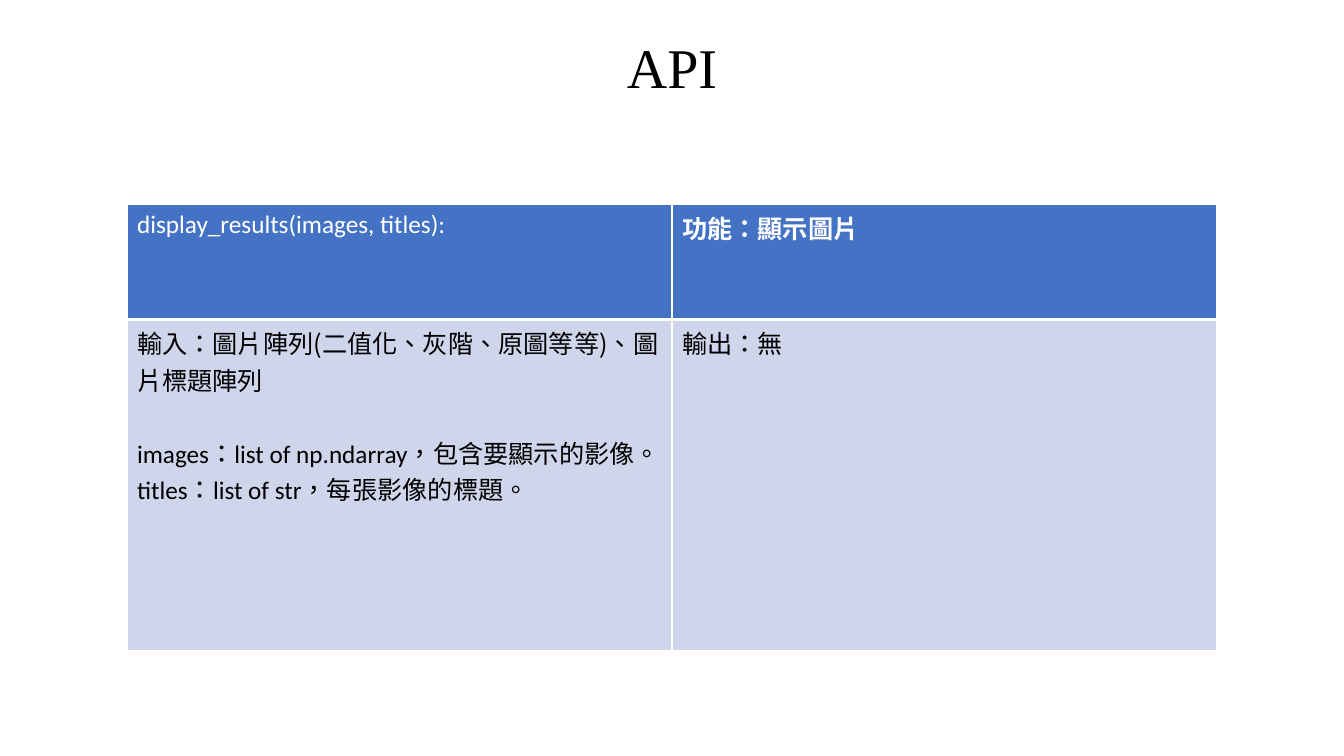
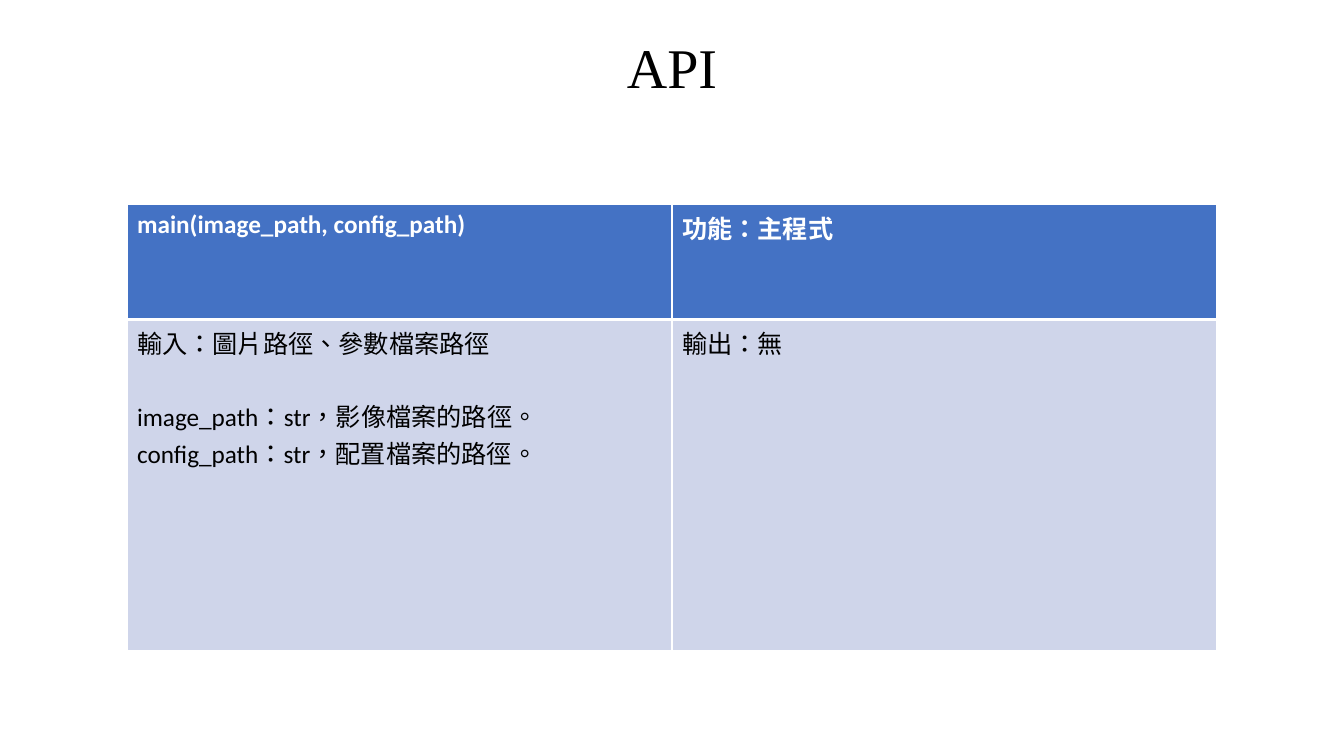
from lxml.etree import SubElement
from pptx import Presentation
from pptx.dml.color import RGBColor
from pptx.enum.text import MSO_AUTO_SIZE, PP_ALIGN
from pptx.oxml.ns import qn
from pptx.util import Inches, Pt

WHITE = RGBColor(0xFF, 0xFF, 0xFF)
BLACK = RGBColor(0x00, 0x00, 0x00)
BLUE = RGBColor(0x44, 0x72, 0xC4)
PALE_BLUE = RGBColor(0xCF, 0xD5, 0xEA)
LATIN, CHINESE, SERIF = "Calibri", "Noto Sans CJK SC", "Times New Roman"


class ApiDeck:
    """Style and current slide of an API reference; lengths are percentages of the slide."""

    def __init__(self):
        """Start an empty widescreen presentation."""
        self.deck = Presentation()
        self.deck.slide_width, self.deck.slide_height = Inches(13.33), Inches(7.5)
        self.slide = None

    def across(self, percent):
        """Turn a percentage of the slide width into a length."""
        return round(self.deck.slide_width * percent / 100)

    def down(self, percent):
        """Turn a percentage of the slide height into a length."""
        return round(self.deck.slide_height * percent / 100)

    def area(self, left, top, width, height):
        """Turn four percentages into a position and a size."""
        return self.across(left), self.down(top), self.across(width), self.down(height)

    def new_slide(self):
        """Add a blank slide and make it current."""
        self.slide = self.deck.slides.add_slide(self.deck.slide_layouts[6])

    def run(self, paragraph, words, typeface, size, color, bold=False):
        """Add one styled run to a paragraph."""
        run = paragraph.add_run()
        run.text = words
        font = run.font
        font.size, font.bold, font.name = Pt(size), bold, typeface
        font.color.rgb = color
        properties = run._r.get_or_add_rPr()
        properties.set("lang", "zh-TW")
        east_asian = SubElement(properties, qn("a:ea"))
        east_asian.set("typeface", CHINESE)

    def title(self, words):
        """Add the centred slide title."""
        box = self.slide.shapes.add_textbox(*self.area(15.68, 3.6, 68.64, 10.27))
        frame = box.text_frame
        frame.word_wrap = True
        frame.auto_size = MSO_AUTO_SIZE.SHAPE_TO_FIT_TEXT
        heading = frame.paragraphs[0]
        heading.alignment = PP_ALIGN.CENTER
        self.run(heading, words, SERIF, 40, BLACK)

    def borders(self, cell, **widths):
        """Give a cell white borders of the given widths in points."""
        properties = cell._tc.get_or_add_tcPr()
        for side in ("L", "R", "T", "B"):
            line = SubElement(properties, qn(f"a:ln{side}"), w=str(Pt(widths.get(side, 1))))
            fill = SubElement(line, qn("a:solidFill"))
            SubElement(fill, qn("a:srgbClr"), val=str(WHITE))

    def cell(self, cell, lines, is_header):
        """Fill a table cell with (words, typeface, bold, space before) lines."""
        self.borders(cell, **({"B": 3} if is_header else {"T": 3}))
        cell.fill.solid()
        cell.fill.fore_color.rgb = BLUE if is_header else PALE_BLUE
        frame = cell.text_frame
        for index, (words, typeface, bold, gap) in enumerate(lines):
            paragraph = frame.add_paragraph() if index else frame.paragraphs[0]
            if gap:
                paragraph.space_before = Pt(gap)
            self.run(paragraph, words, typeface, 18, WHITE if is_header else BLACK, bold)

    def api_table(self, rows):
        """Add the two-by-two table that describes one function."""
        table = self.slide.shapes.add_table(2, 2, *self.area(9.45, 27.07, 81.1, 59)).table
        for row, height in zip(table.rows, (15.2, 43.8)):
            row.height = self.down(height)
        for row_index, row in enumerate(rows):
            for column_index, lines in enumerate(row):
                self.cell(table.cell(row_index, column_index), lines, row_index == 0)

    def function(self, signature, signature_bold, purpose, inputs, parameters):
        """Build the slide of one function."""
        self.new_slide()
        input_lines = [(inputs, CHINESE, False, 0)]
        for index, parameter in enumerate(parameters):
            input_lines.append((parameter, LATIN, False, 0 if index else 26))
        self.api_table([
            [[(signature, LATIN, signature_bold, 0)], [(purpose, CHINESE, True, 0)]],
            [input_lines, [("輸出：無", CHINESE, False, 0)]],
        ])
        self.title("API")


def main():
    """Build and save the presentation."""
    api = ApiDeck()
    api.function(
        "display_results(images, titles):", False, "功能：顯示圖片",
        "輸入：圖片陣列(二值化、灰階、原圖等等)、圖片標題陣列",
        ["images：list of np.ndarray，包含要顯示的影像。", "titles：list of str，每張影像的標題。"],
    )
    api.function(
        "main(image_path, config_path)", True, "功能：主程式",
        "輸入：圖片路徑、參數檔案路徑",
        ["image_path：str，影像檔案的路徑。", "config_path：str，配置檔案的路徑。"],
    )
    api.deck.save("out.pptx")


if __name__ == "__main__":
    main()
